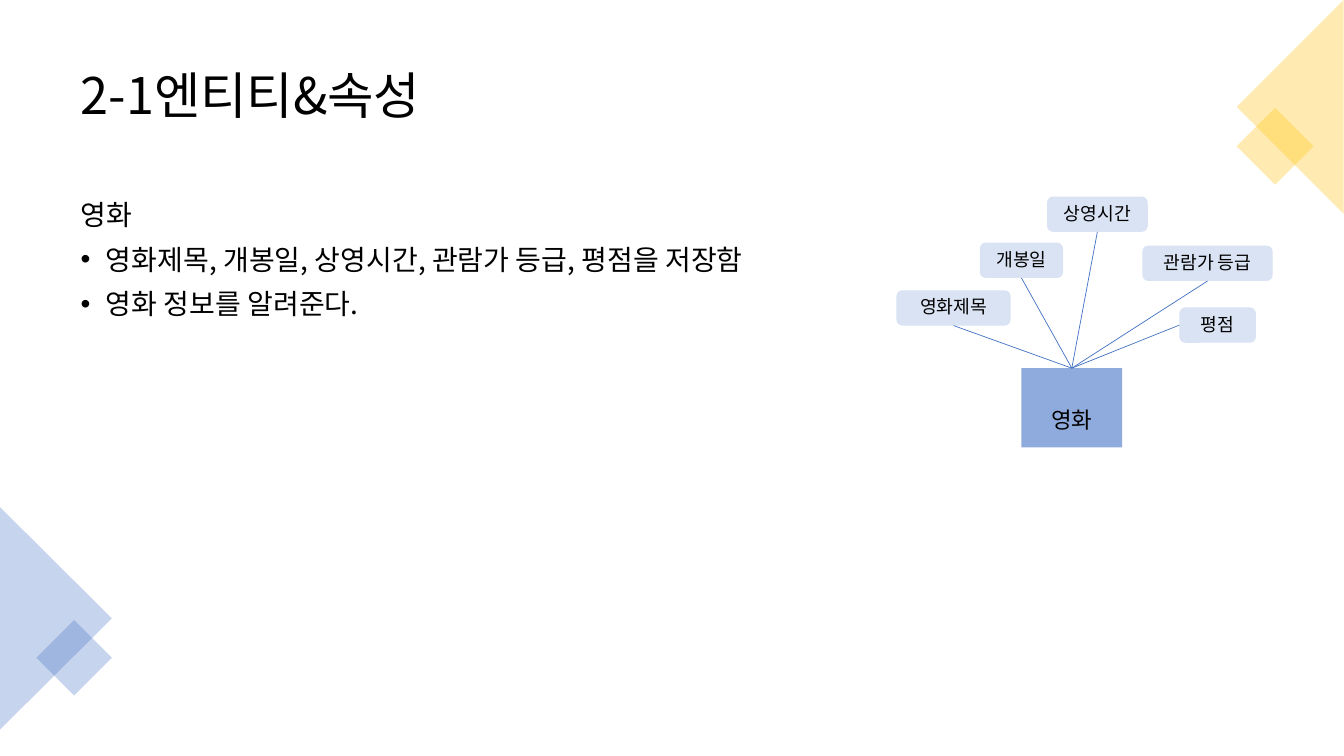
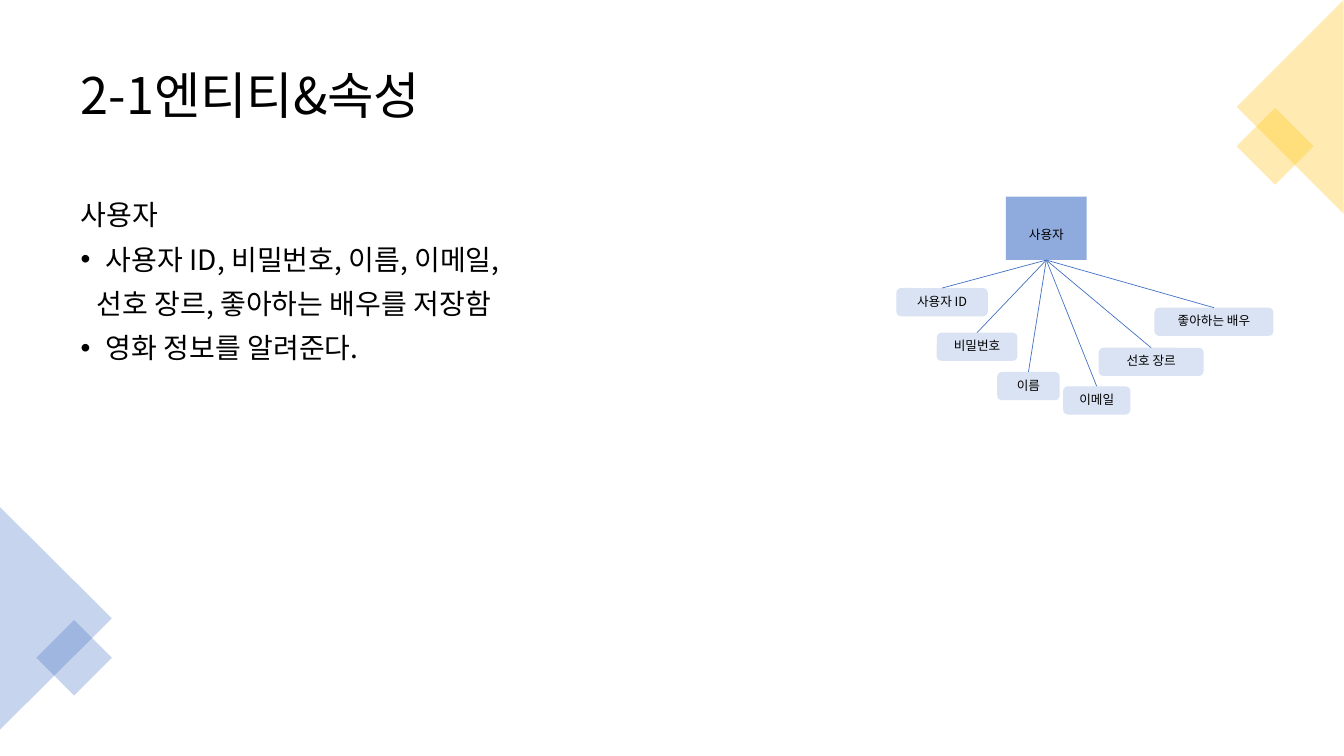
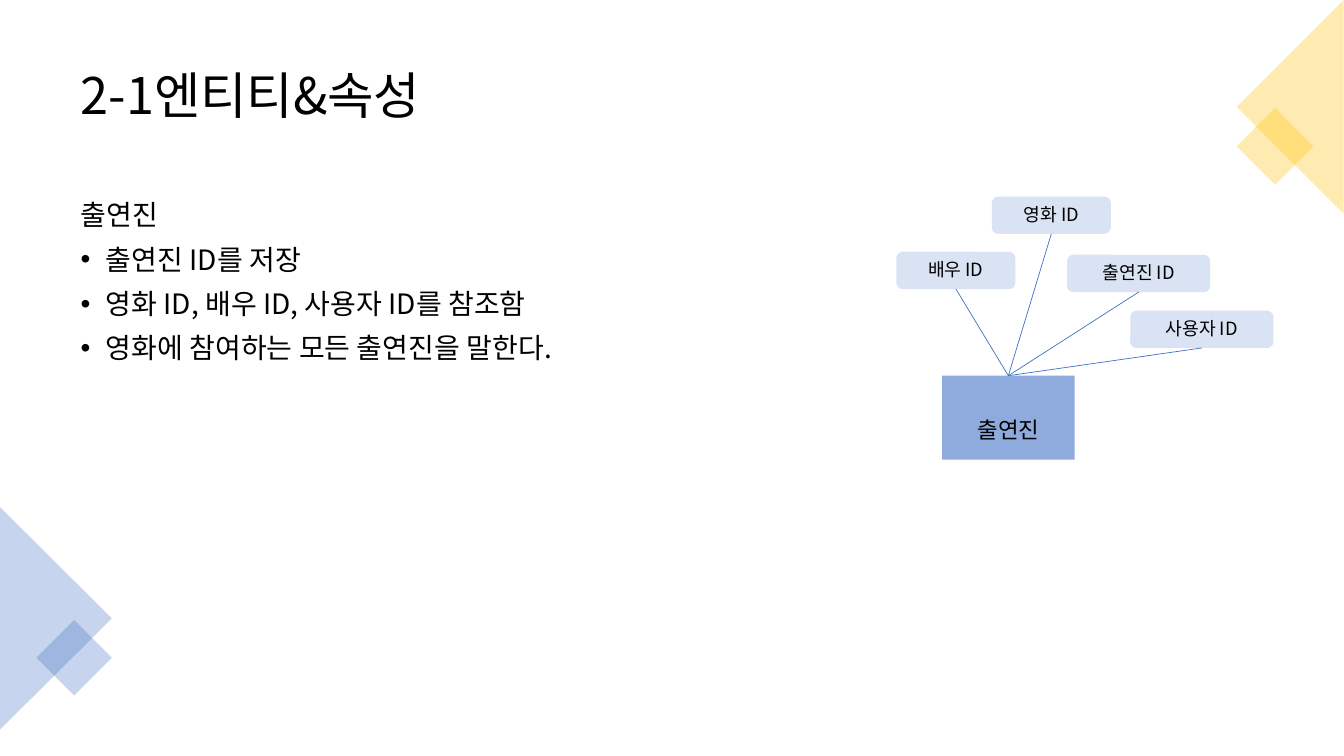
from pptx import Presentation, util as u
from pptx.dml.color import RGBColor
from pptx.enum import shapes as es, text as et
from pptx.oxml.ns import qn
from lxml import etree

# Shared style
INK = {"text": "000000", "gold": "FFC000", "blue": "4472C4",
       "core": "8FAADC", "tag": "DAE3F3"}
FONT = "Noto Sans CJK KR"
TITLE = "2-1엔티티&속성"
WIDE, HIGH = u.Inches(13.33), u.Inches(7.5)

# Corner marks: form, turn, colour, place in percent of the slide
MARKS = [
    ("RECTANGLE", 45, "gold", (92.85, 15.75, 4.05, 7.2)),
    ("ISOSCELES_TRIANGLE", 270, "gold", (88.05, 7.07, 15.9, 14.13)),
    ("ISOSCELES_TRIANGLE", 90, "blue", (-4.13, 74.4, 16.57, 14.8)),
    ("RECTANGLE", 45, "blue", (3.53, 83.47, 3.98, 7.07)),
]

# List levels: left margin, first-line indent, bullet
LEVELS = {"head": (0, 0, None), "item": (0.25, -0.25, "•"),
          "cont": (0.16, 0, None)}
TOP, LEFT, BASE = 0, 1, 2  # connection sites

# Slide content; tags are (text, left, top, width[, own site])
PAGES = [
    dict(lines=[("head", "영화"),
                ("item", "영화제목, 개봉일, 상영시간, 관람가 등급, 평점을 저장함"),
                ("item", "영화 정보를 알려준다.")],
         core=("영화", 76, 48.7, 7.5, 10.5), sizes=(16, 13), tall=4.67,
         ends=(BASE, TOP),
         tags=[("영화제목", 66.7, 38.4, 8.5), ("평점", 87.75, 40.67, 5.7, LEFT),
               ("개봉일", 72.9, 32.1, 6.2), ("상영시간", 77.9, 26, 7.5),
               ("관람가 등급", 85, 32.5, 9.7)]),
    dict(lines=[("head", "사용자"),
                ("item", "사용자 ID, 비밀번호, 이름, 이메일,"),
                ("cont", "선호 장르, 좋아하는 배우를 저장함"),
                ("item", "영화 정보를 알려준다.")],
         core=("사용자", 74.85, 26, 6, 8.4), sizes=(9, 9), tall=3.73,
         ends=(TOP, BASE),
         tags=[("사용자 ID", 66.7, 38.1, 6.8), ("이름", 74.2, 49.2, 4.65),
               ("이메일", 79.1, 51.1, 5), ("비밀번호", 69.7, 44, 6),
               ("선호 장르", 81.75, 46, 7.8), ("좋아하는 배우", 85.9, 40.7, 8.85)]),
    dict(lines=[("head", "출연진"),
                ("item", "출연진 ID를 저장"),
                ("item", "영화 ID, 배우 ID, 사용자 ID를 참조함"),
                ("item", "영화에 참여하는 모든 출연진을 말한다.")],
         core=("출연진", 70.1, 49.7, 9.85, 11.1), sizes=(16, 13), tall=4.93,
         ends=(BASE, TOP),
         tags=[("출연진 ID", 79.4, 33.7, 10.65), ("배우 ID", 66.7, 33.3, 8.85),
               ("영화 ID", 73.8, 26, 8.85), ("사용자 ID", 84.1, 41.1, 10.65)]),
]


def area(left, top, wide, high):
    """Turn percents of the slide into lengths."""
    return [int(WIDE * left / 100), int(HIGH * top / 100),
            int(WIDE * wide / 100), int(HIGH * high / 100)]


def tone(name):
    return RGBColor.from_string(INK[name])


def write(para, words, size, align=et.PP_ALIGN.LEFT, before=0, after=0):
    para.alignment, para.line_spacing = align, 0.9
    para.space_before, para.space_after = u.Pt(before), u.Pt(after)
    run = para.add_run()
    run.text = words
    run.font.size, run.font.name = u.Pt(size), FONT
    run.font.color.rgb = tone("text")
    east = etree.SubElement(run.font._element, qn("a:ea"))
    east.set("typeface", FONT)


def level(para, kind):
    left, first, dot = LEVELS[kind]
    props = para._p.get_or_add_pPr()
    props.set("marL", str(u.Inches(left)))
    props.set("indent", str(u.Inches(first)))
    mark = etree.SubElement(props, qn("a:buChar" if dot else "a:buNone"))
    if dot:
        mark.set("char", dot)


def block(slide, form, place, color, alpha=None):
    shape = slide.shapes.add_shape(getattr(es.MSO_SHAPE, form), *area(*place))
    shape.shadow.inherit = False
    shape.fill.solid()
    shape.fill.fore_color.rgb = tone(color)
    shape.line.fill.background()
    if alpha:
        hue = shape.fill._xPr.find(".//" + qn("a:srgbClr"))
        etree.SubElement(hue, qn("a:alpha")).set("val", str(alpha * 1000))
    return shape


def label(shape, words, size, drop=0):
    """Centre the words in a shape, moved down by a top inset in points."""
    frame = shape.text_frame
    frame.word_wrap = True
    frame.vertical_anchor = et.MSO_ANCHOR.MIDDLE
    frame.margin_left = frame.margin_right = frame.margin_bottom = 0
    frame.margin_top = u.Pt(drop)
    write(frame.paragraphs[0], words, size, et.PP_ALIGN.CENTER, after=6)


def link(slide, start, site, end, goal):
    line = slide.shapes.add_connector(es.MSO_CONNECTOR.STRAIGHT, 0, 0, 0, 0)
    line.begin_connect(start, site)
    line.end_connect(end, goal)
    line.line.color.rgb, line.line.width = tone("blue"), u.Pt(0.5)
    etree.SubElement(line._element.spPr, qn("a:effectLst"))


def chart(slide, page):
    """Draw the entity with its attributes around it."""
    big, small = page["sizes"]
    name, *place = page["core"]
    core = block(slide, "RECTANGLE", place, "core")
    label(core, name, big, drop=big * 1.2)
    site, goal = page["ends"]
    for words, left, top, wide, *own in page["tags"]:
        tag = block(slide, "ROUNDED_RECTANGLE",
                    (left, top, wide, page["tall"]), "tag")
        label(tag, words, small)
        link(slide, tag, own[0] if own else site, core, goal)


def prose(slide, lines):
    """Fill the title and the list."""
    head, body = slide.placeholders
    write(head.text_frame.paragraphs[0], TITLE, 36)
    frame = body.text_frame
    for at, (kind, words) in enumerate(lines):
        para = frame.add_paragraph() if at else frame.paragraphs[0]
        write(para, words, 20, before=10)
        level(para, kind)
    for each in (head, body):
        each.text_frame.auto_size = et.MSO_AUTO_SIZE.NONE


def main():
    deck = Presentation()
    deck.slide_width, deck.slide_height = WIDE, HIGH
    plan = deck.slide_layouts[1]
    # Title and list places, set once on the layout
    for at, place in enumerate([(5.25, 4.67, 89.5, 16.53),
                                (5.25, 26, 56.1, 64.13)]):
        hold = plan.placeholders[at]
        hold.left, hold.top, hold.width, hold.height = area(*place)
    for page in PAGES:
        slide = deck.slides.add_slide(plan)
        prose(slide, page["lines"])
        for form, turn, color, place in MARKS:
            block(slide, form, place, color, alpha=30).rotation = turn
        chart(slide, page)
    deck.save("out.pptx")


if __name__ == "__main__":
    main()
